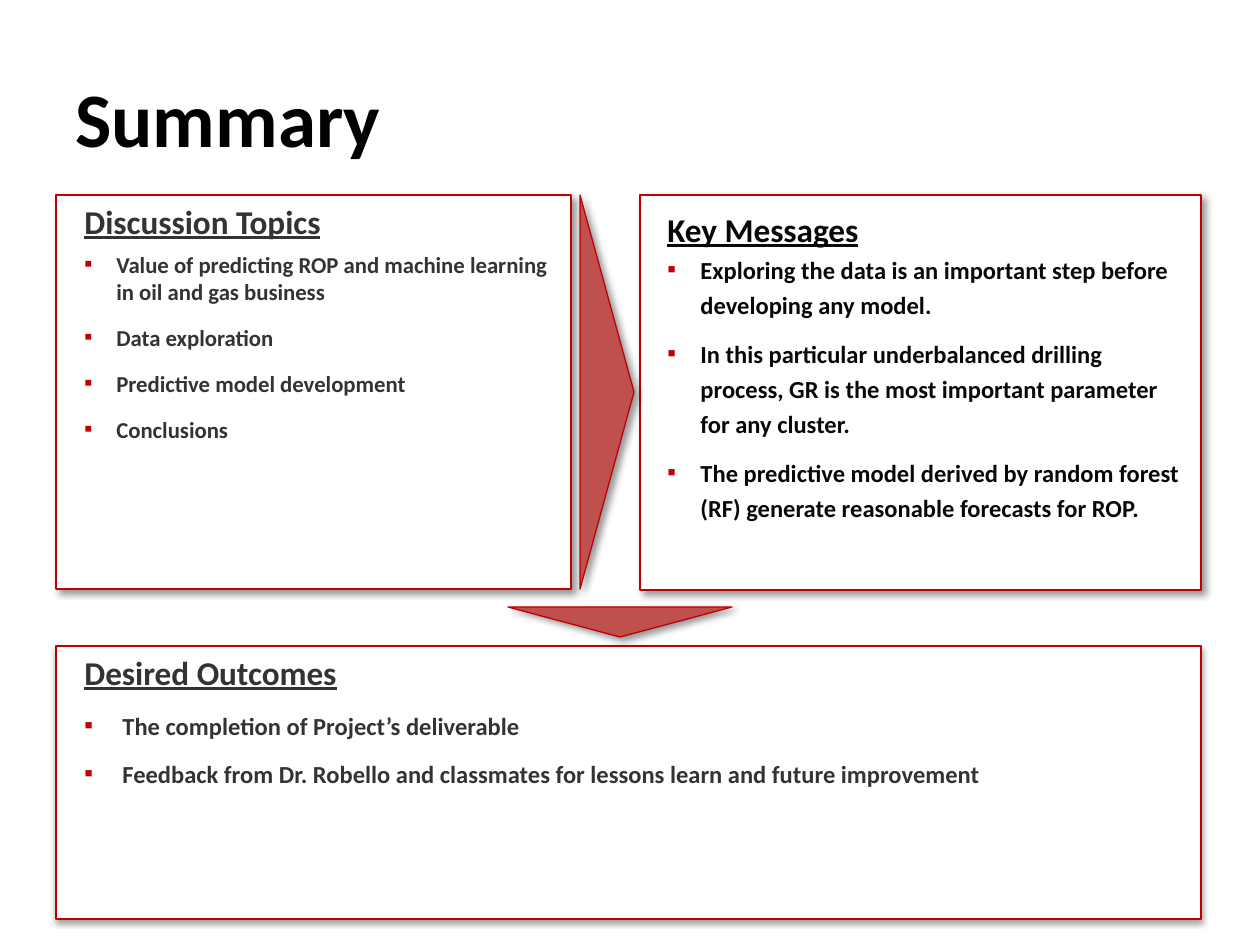
from lxml import etree
from pptx import Presentation
from pptx.dml.color import RGBColor
from pptx.enum.shapes import MSO_SHAPE
from pptx.enum.text import MSO_ANCHOR, PP_ALIGN
from pptx.oxml.ns import qn
from pptx.util import Pt

RECT, TRIANGLE = MSO_SHAPE.RECTANGLE, MSO_SHAPE.ISOSCELES_TRIANGLE
TOP, MIDDLE, LEFT = MSO_ANCHOR.TOP, MSO_ANCHOR.MIDDLE, PP_ALIGN.LEFT
PX = 914400 / 126
FONT = "Calibri"
COLORS = {"black": "000000", "ink": "080808", "gray": "333333",
          "white": "FFFFFF", "red": "C00000", "arrow": "C0504D"}
SOFT = (40, 4, 3, 45)
BELOW = (35, 3.1, 1.8, 90)


def add_block(kind, box, fill, line_width, shadow):
    """Add a red-outlined shape; shadow is opacity %, blur pt, distance pt, angle."""
    s = slide.shapes.add_shape(kind, *[round(v * PX) for v in box])
    s.fill.solid()
    s.fill.fore_color.rgb = RGBColor.from_string(COLORS[fill])
    s.line.color.rgb = RGBColor.from_string(COLORS["red"])
    s.line.width = Pt(line_width)
    s.shadow.inherit = False
    opacity, blur, dist, angle = shadow
    effects = s._element.spPr.find(qn("a:effectLst"))
    outer = etree.SubElement(effects, qn("a:outerShdw"), blurRad=str(Pt(blur)),
                             dist=str(Pt(dist)), dir=str(angle * 60000), rotWithShape="0")
    clr = etree.SubElement(outer, qn("a:srgbClr"), val=COLORS["black"])
    etree.SubElement(clr, qn("a:alpha"), val=str(opacity * 1000))
    return s


def add_line(p, text, size, color, margin=0, hang=0, bullet=False):
    p.alignment = LEFT
    pPr = p._p.get_or_add_pPr()
    pPr.set("marL", str(round(margin * PX)))
    pPr.set("indent", str(round(-hang * PX)))
    if bullet:
        clr = etree.SubElement(pPr, qn("a:buClr"))
        etree.SubElement(clr, qn("a:srgbClr"), val=COLORS["red"])
        etree.SubElement(pPr, qn("a:buFont"), typeface=FONT)
        etree.SubElement(pPr, qn("a:buChar"), char="▪")
    r = p.add_run()
    r.text = text
    r.font.name, r.font.size, r.font.bold = FONT, Pt(size), True
    r.font.color.rgb = RGBColor.from_string(COLORS[color])
    return r


prs = Presentation()
prs.slide_width, prs.slide_height = round(1260 * PX), round(945 * PX)
slide = prs.slides.add_slide(prs.slide_layouts[6])

title = slide.shapes.add_textbox(*[round(v * PX) for v in (63, 38, 1134, 157)])
tf = title.text_frame
tf.word_wrap, tf.vertical_anchor = True, MIDDLE
add_line(tf.paragraphs[0], "Summary", 44, "black")

# box, shadow, text colour, bullet size, margin, hang, line spacing,
# space after heading, space before and after bullets, heading, bullets
panels = [
    ((640, 195, 561, 395), SOFT, "ink", 14, 48, 33, 1.2, 0, 0, 7.5, "Key Messages", [
        "Exploring the data is an important step before developing any model.",
        "In this particular underbalanced drilling process, GR is the most "
        "important parameter for any cluster.",
        "The predictive model derived by random forest (RF) generate reasonable "
        "forecasts for ROP."]),
    ((56, 195, 515, 394), SOFT, "gray", 13, 48, 32, 1, 0, 5.3, 5.3, "Discussion Topics", [
        "Value of predicting ROP and machine learning in oil and gas business",
        "Data exploration",
        "Predictive model development",
        "Conclusions"]),
    ((56, 646, 1145, 273), BELOW, "gray", 14, 54, 38, 1, 5.3, 5.3, 5.3, "Desired Outcomes", [
        "The completion of Project’s deliverable",
        "Feedback from Dr. Robello and classmates for lessons learn and future "
        "improvement"]),
]
for (box, shadow, color, size, margin, hang, spacing, heading_after,
     before, after, heading, bullets) in panels:
    tf = add_block(RECT, box, "white", 1, shadow).text_frame
    tf.word_wrap, tf.vertical_anchor = True, TOP
    p = tf.paragraphs[0]
    p.line_spacing, p.space_after = spacing, Pt(heading_after)
    add_line(p, heading, 19, color, margin, hang).font.underline = True
    for text in bullets:
        p = tf.add_paragraph()
        p.line_spacing = spacing
        p.space_before, p.space_after = Pt(before), Pt(after)
        add_line(p, text, size, color, margin, hang, bullet=True)

for box, rotation in [((410, 365, 394, 54), 90), ((508, 607, 224, 30), 180)]:
    add_block(TRIANGLE, box, "arrow", 0.75, SOFT).rotation = rotation

prs.save("out.pptx")
